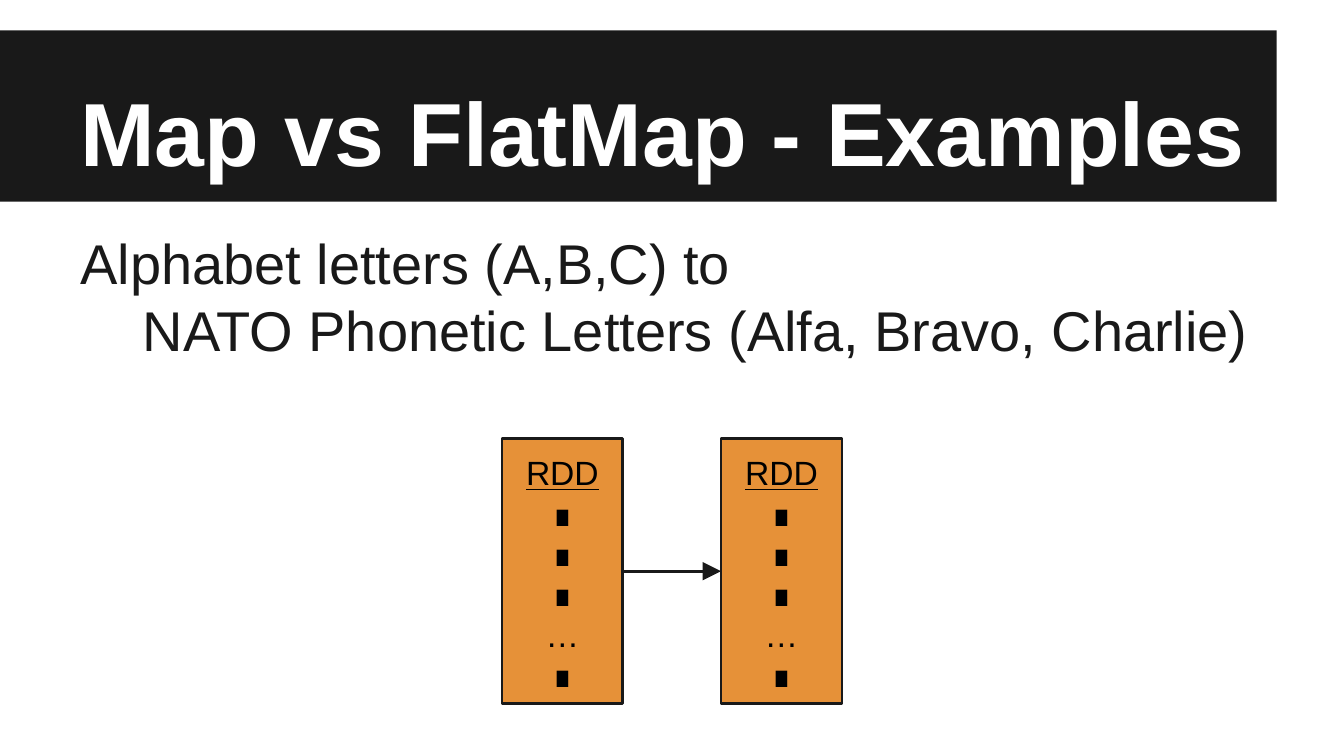
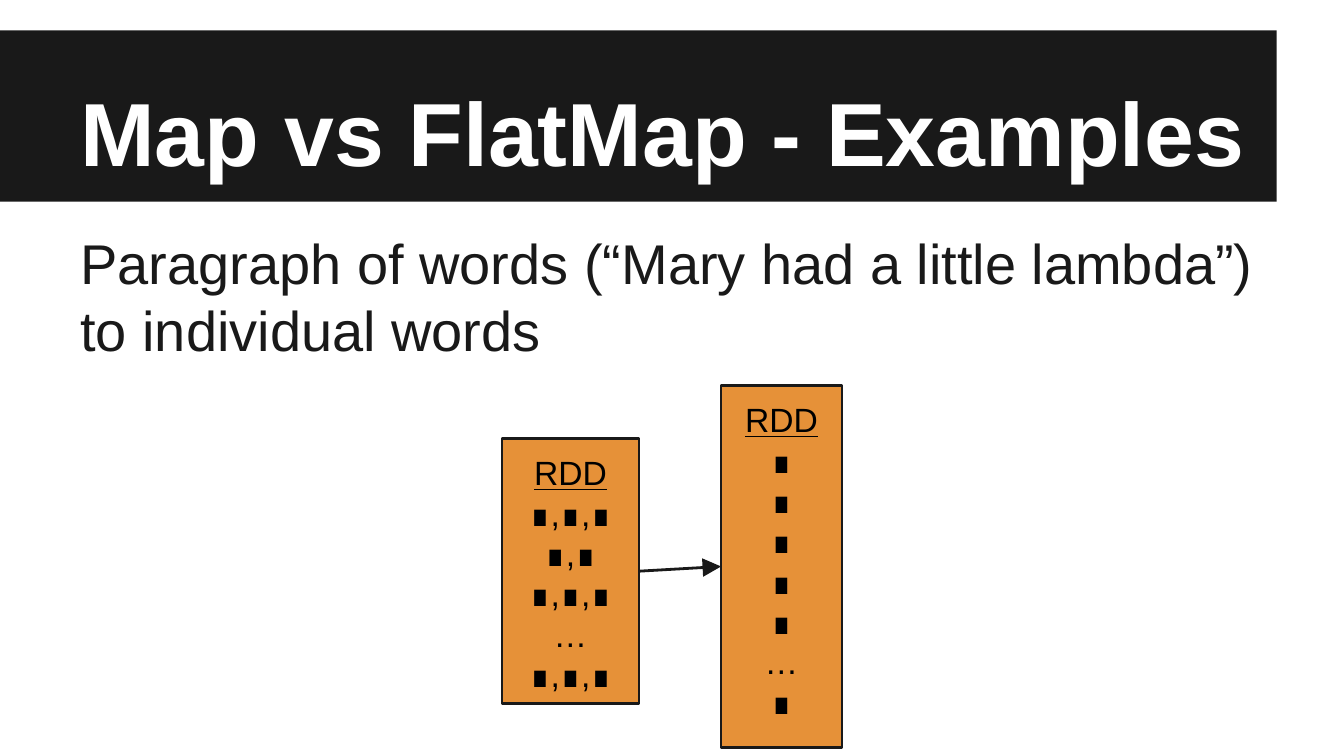
from lxml import etree
from pptx import Presentation
from pptx.dml.color import RGBColor as RGB
from pptx.enum.shapes import MSO_CONNECTOR as CXN, MSO_SHAPE as SHAPE
from pptx.enum.text import MSO_ANCHOR as ANCHOR, PP_ALIGN as ALIGN
from pptx.oxml.ns import qn
from pptx.util import Inches, Pt

COLORS = {"ink": "191919", "title": "FFFFFF", "rdd": "E69138", "item": "000000"}
FONT = "Arial"
WIDTH = 10
HEIGHT = WIDTH * 9 / 16
UNIT = 0.5  # side of a grid cell, in inches

# Boxes as (column, row, columns, rows)
BAND = (0, 0.45, 19, 2.55)
TITLE = (1, 0.45, 18, 2.5)
BODY = (1, 3.2, 18, 7.58)
TITLE_TEXT = "Map vs FlatMap - Examples"
BODY_INDENT = 0.93

SLIDES = [
    {
        "body": ["Alphabet letters (A,B,C) to",
                 "NATO Phonetic Letters (Alfa, Bravo, Charlie)"],
        "source": ((7.47, 6.53, 1.8, 3.94), ["∎", "∎", "∎", "…", "∎"]),
        "result": ((10.73, 6.53, 1.8, 3.94), ["∎", "∎", "∎", "…", "∎"]),
    },
    {
        "body": ["Paragraph of words (“Mary had a little lambda”) to individual words"],
        "source": ((7.47, 6.53, 2.04, 3.94),
                   ["∎,∎,∎", "∎,∎", "∎,∎,∎", "…", "∎,∎,∎"]),
        "result": ((10.73, 5.74, 1.8, 5.38), ["∎"] * 5 + ["…", "∎"]),
    },
]


def grid(*cells):
    return [Inches(n * UNIT) for n in cells]


def color(name):
    return RGB.from_string(COLORS[name])


def write(sp, lines, size, ink, bold=False, align=ALIGN.LEFT, anchor=ANCHOR.TOP):
    """Fill a shape with one paragraph per line and return the paragraphs."""
    tf = sp.text_frame
    tf.word_wrap = True
    tf.vertical_anchor = anchor
    tf.margin_left = tf.margin_right = tf.margin_top = tf.margin_bottom = Inches(0.1)
    tf.text = "\n".join(lines)
    for p in tf.paragraphs:
        p.alignment = align
        for r in p.runs:
            r.font.name, r.font.size, r.font.bold = FONT, Pt(size), bold
            r.font.color.rgb = color(ink)
    return tf.paragraphs


def add_rect(shapes, box, fill):
    sp = shapes.add_shape(SHAPE.RECTANGLE, *grid(*box))
    sp.shadow.inherit = False
    sp.fill.solid()
    sp.fill.fore_color.rgb = color(fill)
    sp.line.fill.background()
    return sp


def add_header(s):
    add_rect(s.shapes, BAND, "ink")
    write(s.shapes.add_textbox(*grid(*TITLE)), [TITLE_TEXT], 48, "title",
          bold=True, anchor=ANCHOR.BOTTOM)


def add_body(s, lines):
    """Write the statement, with every line after the first indented."""
    paragraphs = write(s.shapes.add_textbox(*grid(*BODY)), lines, 30, "ink")
    for p in paragraphs[1:]:
        p._p.get_or_add_pPr().set("marL", str(grid(BODY_INDENT)[0]))


def add_rdd(shapes, box, items):
    sp = add_rect(shapes, box, "rdd")
    sp.line.color.rgb = color("ink")
    sp.line.width = Pt(1.5)
    heading = write(sp, ["RDD"] + items, 18, "item", align=ALIGN.CENTER)[0]
    heading.runs[0].font.underline = True
    return sp


def add_arrow(shapes, start, end):
    cxn = shapes.add_connector(CXN.STRAIGHT, 0, 0, 0, 0)
    cxn.begin_connect(start, 3)
    cxn.end_connect(end, 1)
    cxn.line.color.rgb = color("ink")
    cxn.line.width = Pt(1.5)
    etree.SubElement(cxn.line._get_or_add_ln(), qn("a:tailEnd"),
                     type="triangle", w="lg", len="lg")
    etree.SubElement(cxn._element.spPr, qn("a:effectLst"))


def add_flow(s, source, result):
    """Group two RDD boxes and the arrow that joins them."""
    shapes = s.shapes.add_group_shape().shapes
    add_arrow(shapes, add_rdd(shapes, *source), add_rdd(shapes, *result))


def add_example(prs, example):
    s = prs.slides.add_slide(prs.slide_layouts[6])
    add_header(s)
    add_body(s, example["body"])
    add_flow(s, example["source"], example["result"])


def main():
    prs = Presentation()
    prs.slide_width, prs.slide_height = Inches(WIDTH), Inches(HEIGHT)
    for example in SLIDES:
        add_example(prs, example)
    prs.save("out.pptx")


if __name__ == "__main__":
    main()
